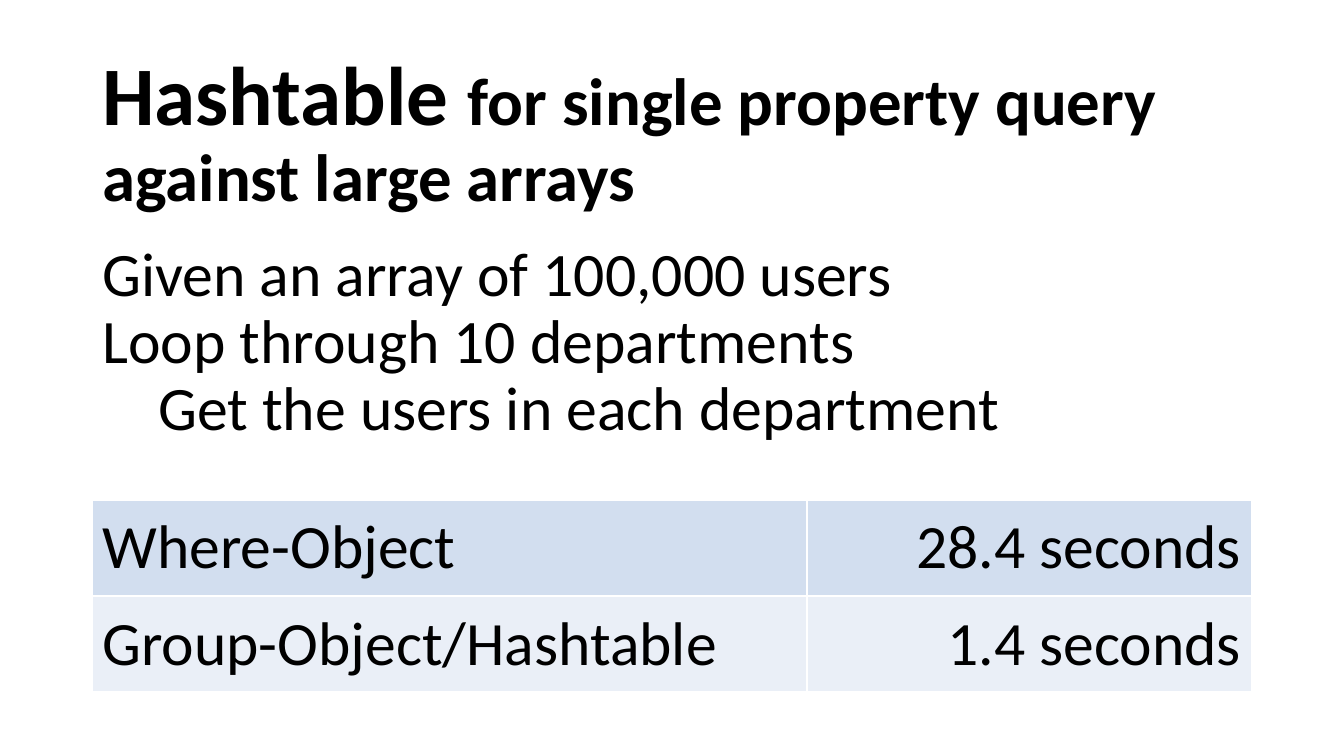
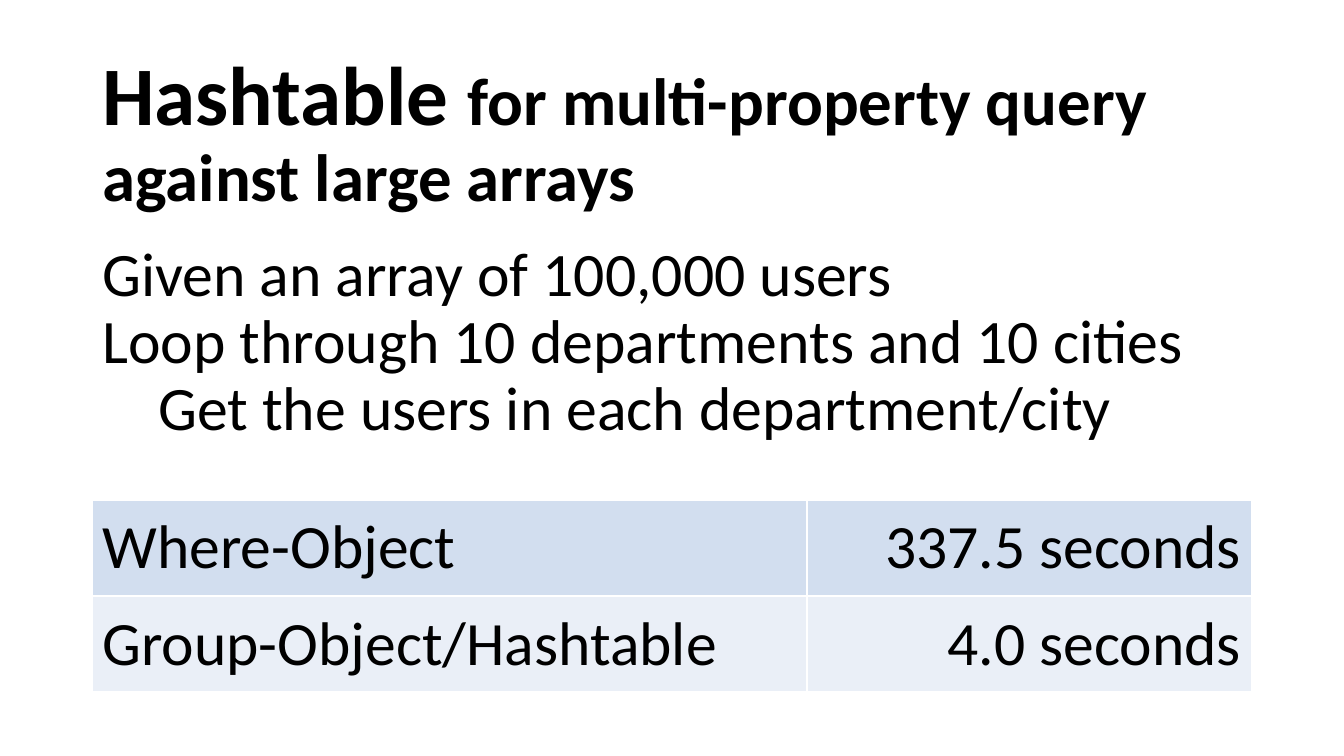
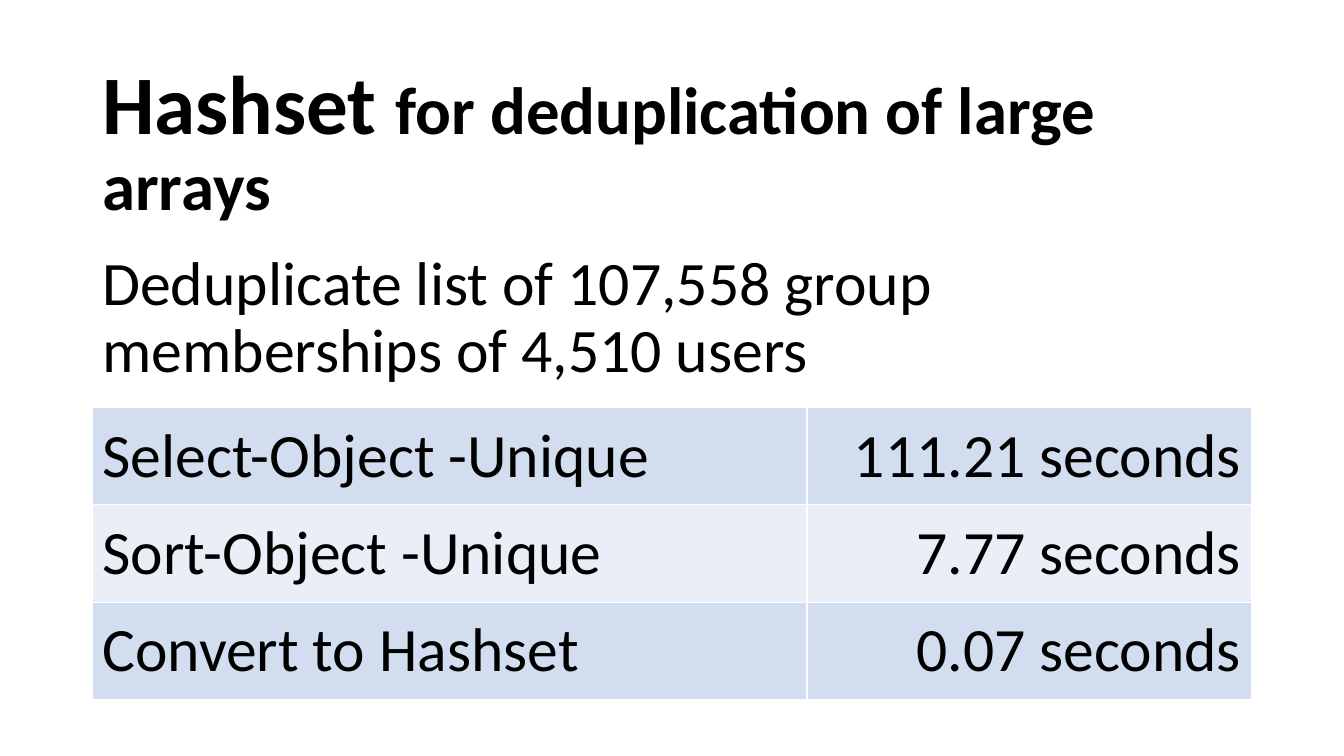
from pptx import Presentation
from pptx.dml.color import RGBColor
from pptx.enum.text import MSO_ANCHOR, PP_ALIGN
from pptx.util import Pt

FONT = "Calibri"
BLACK = "000000"
ROW_FILLS = ("D2DEEF", "EAEFF7")
LEFT = 66
HEADING_TOP = 28.8
COLUMN_WIDTHS = (510.5, 317.5)
WIDTH = sum(COLUMN_WIDTHS)


def color(hex_string):
    """Turn a hex string into a colour."""
    return RGBColor.from_string(hex_string)


def add_text(paragraph, text, size=44, bold=False, fill=BLACK):
    """Append a formatted run to a paragraph."""
    run = paragraph.add_run()
    run.text = text
    run.font.name = FONT
    run.font.size = Pt(size)
    run.font.bold = bold
    run.font.color.rgb = color(fill)


class Deck:
    """Holds the presentation style and the current slide."""

    def __init__(self):
        """Start a widescreen presentation."""
        self.presentation = Presentation()
        self.presentation.slide_width = Pt(960)
        self.presentation.slide_height = Pt(540)
        self.slide = None

    def add_slide(self):
        """Start a new blank slide."""
        layout = self.presentation.slide_layouts[6]
        self.slide = self.presentation.slides.add_slide(layout)

    def add_heading(self, keyword, topic, task_lines, height):
        """Add the title with the task below it; lines are (text, indent)."""
        shape = self.slide.shapes.add_textbox(
            Pt(LEFT), Pt(HEADING_TOP), Pt(WIDTH), Pt(height))
        frame = shape.text_frame
        frame.word_wrap = True
        frame.vertical_anchor = MSO_ANCHOR.MIDDLE
        title = frame.paragraphs[0]
        add_text(title, keyword + " ", size=59.4, bold=True)
        add_text(title, topic, size=47.7, bold=True)
        for index, (text, indent) in enumerate(task_lines):
            paragraph = frame.add_paragraph()
            paragraph.space_before = Pt(0 if index else 20)
            paragraph._p.get_or_add_pPr().set("marL", str(Pt(indent)))
            add_text(paragraph, text, size=44.1)
        for paragraph in frame.paragraphs:
            paragraph.line_spacing = 0.9

    def add_timings(self, timings, top, row_height):
        """Add the table of methods and their running times."""
        table = self.slide.shapes.add_table(
            len(timings), len(COLUMN_WIDTHS), Pt(LEFT), Pt(top),
            Pt(WIDTH), Pt(row_height * len(timings))).table
        table.first_row = False
        table.horz_banding = False
        for column, width in zip(table.columns, COLUMN_WIDTHS):
            column.width = Pt(width)
        for row_index, (method, seconds) in enumerate(timings):
            table.rows[row_index].height = Pt(row_height)
            texts = (method, f"{seconds} seconds")
            for column_index, text in enumerate(texts):
                cell = table.cell(row_index, column_index)
                cell.fill.solid()
                cell.fill.fore_color.rgb = color(ROW_FILLS[row_index % 2])
                cell.vertical_anchor = MSO_ANCHOR.MIDDLE
                paragraph = cell.text_frame.paragraphs[0]
                paragraph.alignment = (
                    PP_ALIGN.RIGHT if column_index else PP_ALIGN.LEFT)
                add_text(paragraph, text)


def add_query_slide(deck, query, loop, result, slow, fast):
    """Add a slide that compares filtering with a hashtable lookup."""
    deck.add_slide()
    deck.add_heading(
        "Hashtable", f"for {query} query against large arrays",
        [("Given an array of 100,000 users", 0),
         (f"Loop through {loop}", 0),
         (f"Get the users in each {result}", 40)],
        height=297.4)
    deck.add_timings(
        [("Where-Object", slow), ("Group-Object/Hashtable", fast)],
        top=357.1, row_height=68.6)


def add_deduplication_slide(deck):
    """Add the slide that compares ways to remove duplicates."""
    deck.add_slide()
    deck.add_heading(
        "Hashset", "for deduplication of large arrays",
        [("Deduplicate list of 107,558 group memberships of 4,510 users", 0)],
        height=262.8)
    deck.add_timings(
        [("Select-Object -Unique", "111.21"),
         ("Sort-Object -Unique", "7.77"),
         ("Convert to Hashset", "0.07")],
        top=291, row_height=69.6)


deck = Deck()
add_query_slide(deck, "single property", "10 departments", "department",
                "28.4", "1.4")
add_query_slide(deck, "multi-property", "10 departments and 10 cities",
                "department/city", "337.5", "4.0")
add_deduplication_slide(deck)
deck.presentation.save("out.pptx")
